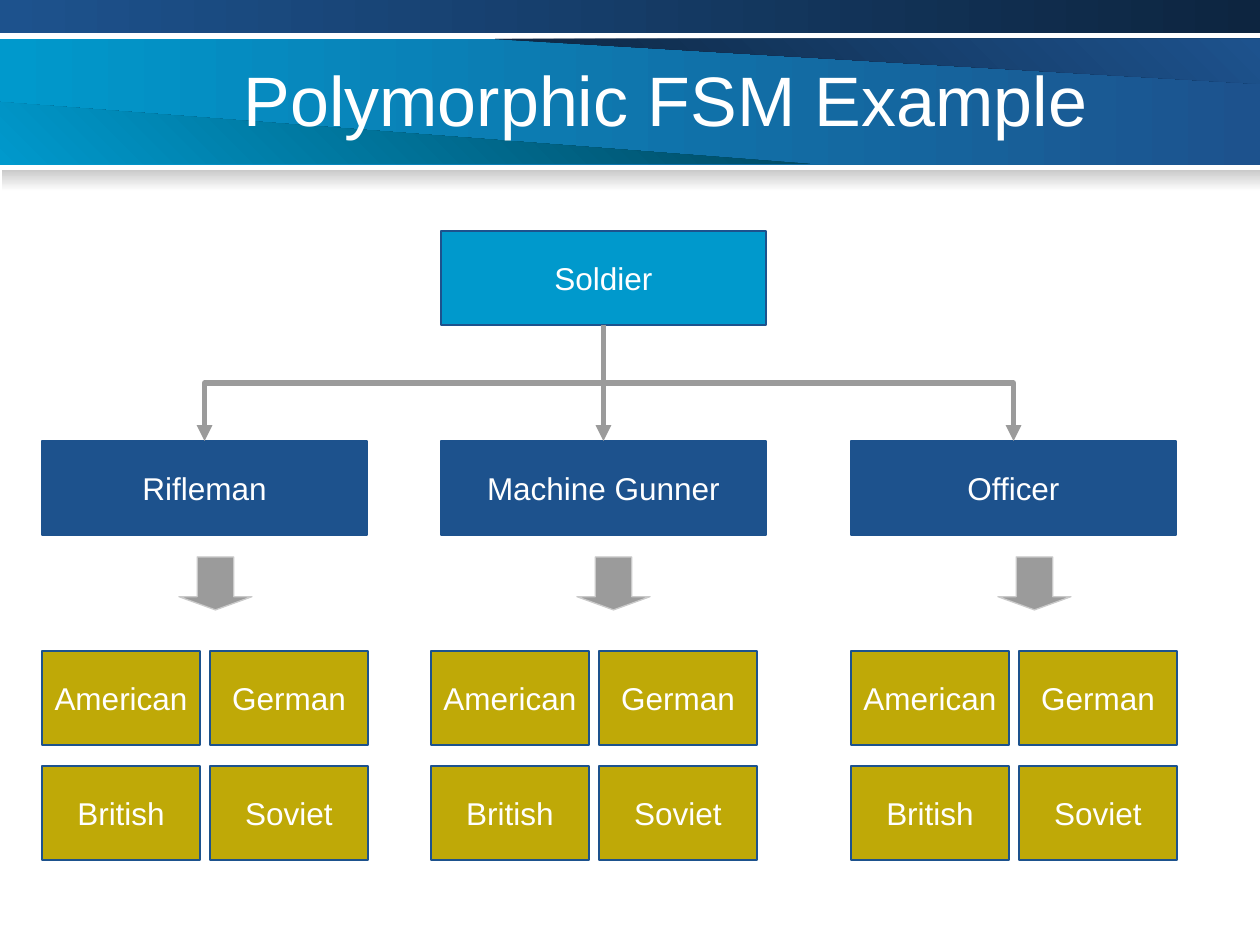
import pptx
import pptx.util
from lxml import etree
from pptx.dml.color import RGBColor
from pptx.enum.shapes import MSO_CONNECTOR, MSO_SHAPE
from pptx.enum.text import MSO_ANCHOR, PP_ALIGN
from pptx.oxml.ns import qn

EMU_PER_PX = 914400 / 126

WHITE = RGBColor(0xFF, 0xFF, 0xFF)
OFF_WHITE = RGBColor(0xFE, 0xFE, 0xFE)
NAVY = RGBColor(0x0D, 0x25, 0x40)
BLUE = RGBColor(0x1D, 0x52, 0x8D)
CYAN = RGBColor(0x00, 0x99, 0xCC)
TEAL = RGBColor(0x00, 0x46, 0x5E)
GOLD = RGBColor(0xBF, 0xA9, 0x07)
GREY = RGBColor(0x9B, 0x9B, 0x9B)
LIGHT_GREY = RGBColor(0xCA, 0xCA, 0xCA)

ROLE_SIZE = (325, 94)
NATION_SIZE = (158, 94)
NATION_STEP = (168, 115)
NATION_TOP = 651
NATIONS = [["American", "German"], ["British", "Soviet"]]
# Role, left of its box, left of its nations, left of its block arrow
COLUMNS = [
    ("Rifleman", 42, 42, 179),
    ("Machine Gunner", 441, 431, 577),
    ("Officer", 851, 851, 998),
]


def px(length):
    return pptx.util.Emu(round(length * EMU_PER_PX))


def set_gradient(fill, first, last, angle):
    """Fill from first to last, with the angle counted clockwise."""
    fill.gradient()
    fill.gradient_angle = (360 - angle) % 360
    for stop, color in zip(fill.gradient_stops, (first, last)):
        stop.color.rgb = color


def add_preset(slide, kind, left, top, width, height):
    shape = slide.shapes.add_shape(kind, px(left), px(top), px(width), px(height))
    shape.shadow.inherit = False
    return shape


def add_band(slide, left, top, width, height, first, last, angle):
    band = add_preset(slide, MSO_SHAPE.RECTANGLE, left, top, width, height)
    set_gradient(band.fill, first, last, angle)
    band.line.fill.background()


def add_wedge(slide, points, first, last, angle):
    builder = slide.shapes.build_freeform(*points[0], scale=EMU_PER_PX)
    builder.add_line_segments(points[1:], close=True)
    wedge = builder.convert_to_shape()
    wedge.shadow.inherit = False
    set_gradient(wedge.fill, first, last, angle)
    wedge.line.fill.background()


def add_title(slide, text):
    title = slide.shapes.title
    title.left, title.top, title.width, title.height = px(231), px(38), px(913), px(120)
    frame = title.text_frame
    frame.text = text
    frame.vertical_anchor = MSO_ANCHOR.MIDDLE
    paragraph = frame.paragraphs[0]
    paragraph.alignment = PP_ALIGN.LEFT
    paragraph.font.size = pptx.util.Pt(40)
    paragraph.font.name = "Arial"
    paragraph.font.color.rgb = WHITE
    # The title lies in front of the header bands.
    title.element.getparent().append(title.element)


def add_box(slide, text, left, top, size, color):
    box = add_preset(slide, MSO_SHAPE.RECTANGLE, left, top, *size)
    box.fill.solid()
    box.fill.fore_color.rgb = color
    box.line.color.rgb = BLUE
    box.line.width = pptx.util.Pt(0.75)
    frame = box.text_frame
    frame.text = text
    frame.word_wrap = False
    frame.vertical_anchor = MSO_ANCHOR.MIDDLE
    paragraph = frame.paragraphs[0]
    paragraph.alignment = PP_ALIGN.CENTER
    paragraph.font.size = pptx.util.Pt(18)
    paragraph.font.name = "Arial"
    paragraph.font.color.rgb = WHITE
    return box


def add_nations(slide, left):
    for row, names in enumerate(NATIONS):
        for column, name in enumerate(names):
            add_box(slide, name, left + column * NATION_STEP[0],
                    NATION_TOP + row * NATION_STEP[1], NATION_SIZE, GOLD)


def add_block_arrow(slide, left):
    arrow = add_preset(slide, MSO_SHAPE.DOWN_ARROW, left, 557, 73, 53)
    arrow.adjustments[0] = 0.5
    arrow.adjustments[1] = 0.25
    arrow.fill.solid()
    arrow.fill.fore_color.rgb = GREY
    arrow.line.color.rgb = LIGHT_GREY
    arrow.line.width = pptx.util.Pt(0.75)


def turn_elbow(connector):
    """Make an elbow leave and arrive vertically, by a quarter turn."""
    center_x = connector.left + connector.width // 2
    center_y = connector.top + connector.height // 2
    goes_left = connector.end_x < connector.begin_x
    width, height = connector.height, connector.width
    connector.left, connector.top = center_x - width // 2, center_y - height // 2
    connector.width, connector.height = width, height
    transform = connector.element.spPr.find(qn("a:xfrm"))
    transform.attrib.pop("flipH", None)
    transform.set("rot", "5400000" if goes_left else "16200000")
    if not goes_left:
        transform.set("flipH", "1")


def connect(slide, parent, child):
    straight = parent.left == child.left
    kind = MSO_CONNECTOR.STRAIGHT if straight else MSO_CONNECTOR.ELBOW
    connector = slide.shapes.add_connector(kind, 0, 0, 0, 0)
    connector.begin_connect(parent, 2)
    connector.end_connect(child, 0)
    if not straight:
        turn_elbow(connector)
    connector.line.color.rgb = GREY
    connector.line.width = pptx.util.Pt(3)
    line = connector.line._get_or_add_ln()
    etree.SubElement(line, qn("a:tailEnd"), type="triangle")
    etree.SubElement(connector.element.spPr, qn("a:effectLst"))


def add_header(slide):
    add_band(slide, 0, 39, 1260, 126, BLUE, CYAN, 180)
    add_wedge(slide, [(495, 39), (1260, 84), (1260, 39)], NAVY, BLUE, 315)
    add_wedge(slide, [(0, 102), (810, 164), (0, 164)], TEAL, CYAN, 135)
    add_band(slide, 0, 0, 1260, 33, NAVY, BLUE, 180)
    add_band(slide, 2, 170, 1258, 21, LIGHT_GREY, OFF_WHITE, 90)


def main():
    presentation = pptx.Presentation()
    presentation.slide_width, presentation.slide_height = px(1260), px(945)
    slide = presentation.slides.add_slide(presentation.slide_layouts[5])
    set_gradient(slide.background.fill, WHITE, OFF_WHITE, 90)
    add_header(slide)
    add_title(slide, "Polymorphic FSM Example")

    soldier = add_box(slide, "Soldier", 441, 231, ROLE_SIZE, CYAN)
    for role, role_left, nations_left, arrow_left in COLUMNS:
        role_box = add_box(slide, role, role_left, 441, ROLE_SIZE, BLUE)
        add_nations(slide, nations_left)
        add_block_arrow(slide, arrow_left)
        connect(slide, soldier, role_box)
    presentation.save("out.pptx")


if __name__ == "__main__":
    main()
